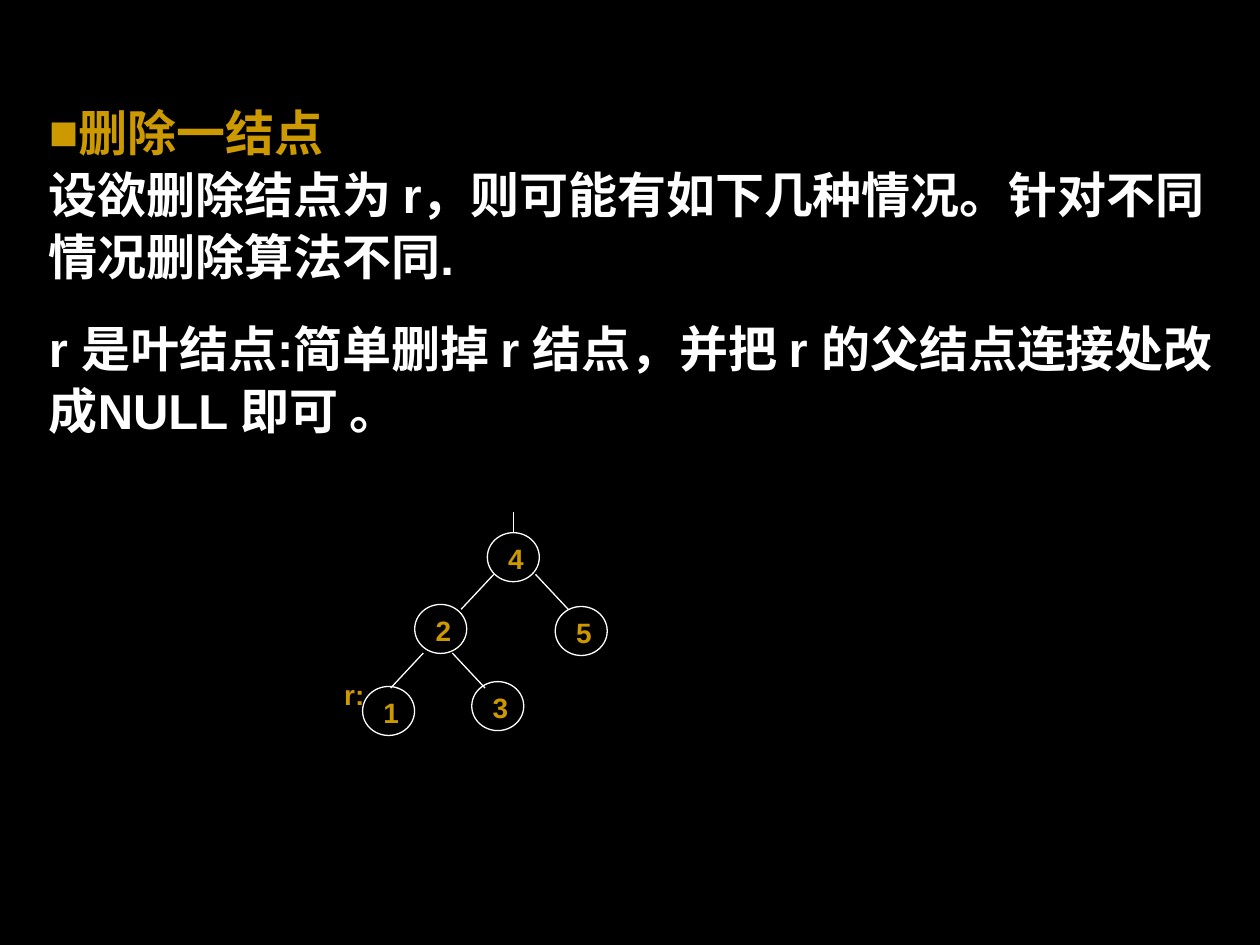
from lxml.etree import SubElement
from pptx import Presentation
from pptx.dml.color import RGBColor
from pptx.enum.shapes import MSO_CONNECTOR, MSO_SHAPE
from pptx.enum.text import MSO_ANCHOR, PP_ALIGN
from pptx.oxml.ns import qn
from pptx.util import Pt

COLORS = {"background": "000000", "accent": "CC9900", "white": "FFFFFF"}


def style_runs(para, size, color):
    for span in para.runs:
        span.font.size = Pt(size)
        span.font.name = "Arial"
        span.font.bold = True
        span.font.color.rgb = RGBColor.from_string(COLORS[color])


def add_label(shapes, text, left, top, width, height, alignment):
    """Add a small tree label with narrow insets."""
    box = shapes.add_textbox(Pt(left), Pt(top), Pt(width), Pt(height))
    frame = box.text_frame
    frame.word_wrap = True
    frame.margin_left = frame.margin_right = Pt(0.75)
    frame.margin_top = frame.margin_bottom = Pt(0.75)
    frame.text = text
    frame.paragraphs[0].alignment = alignment
    style_runs(frame.paragraphs[0], 16, "accent")


deck = Presentation()
deck.slide_width, deck.slide_height = Pt(720), Pt(540)
page = deck.slides.add_slide(deck.slide_layouts[6])
page.background.fill.solid()
page.background.fill.fore_color.rgb = RGBColor.from_string(COLORS["background"])

# Explanation
body = page.shapes.add_textbox(Pt(0), Pt(53.3), Pt(720), Pt(201.6))
frame = body.text_frame
frame.word_wrap = True
frame.vertical_anchor = MSO_ANCHOR.MIDDLE
frame.text = (
    "删除一结点\v设欲删除结点为 r，则可能有如下几种情况。针对不同情况删除算法不同.\n"
    "r 是叶结点:简单删掉 r 结点，并把 r 的父结点连接处改成NULL 即可 。"
)
for para in frame.paragraphs:
    para.line_spacing = 1.05
    para.space_after = Pt(17.5)
    properties = para._p.get_or_add_pPr()
    properties.set("marL", str(Pt(20.9)))
    properties.set("indent", "0")
    style_runs(para, 28, "white")

heading = frame.paragraphs[0]
heading.runs[0].font.color.rgb = RGBColor.from_string(COLORS["accent"])
properties = heading._p.get_or_add_pPr()
bullet_color = SubElement(properties, qn("a:buClr"))
SubElement(bullet_color, qn("a:srgbClr"), val=COLORS["accent"])
SubElement(properties, qn("a:buFont"), typeface="Arial")
SubElement(properties, qn("a:buChar"), char="■")

# Tree nodes: left and top of each circle
NODE_WIDTH, NODE_HEIGHT = 29.7, 28
nodes = {
    "4": (278.5, 304.4),
    "2": (237, 345.4),
    "5": (317.3, 346.6),
    "1": (207.2, 392.3),
    "3": (269.6, 389.5),
}
for name, (left, top) in nodes.items():
    group = page.shapes.add_group_shape()
    add_label(group.shapes, name, left + 1.5, top + 4.5, NODE_WIDTH, 23.3, PP_ALIGN.CENTER)
    circle = group.shapes.add_shape(
        MSO_SHAPE.OVAL, Pt(left), Pt(top), Pt(NODE_WIDTH), Pt(NODE_HEIGHT)
    )
    circle.shadow.inherit = False
    circle.fill.background()
    circle.line.color.rgb = RGBColor.from_string(COLORS["white"])
    circle.line.width = Pt(0.75)

# Tree edges: start point, then horizontal and vertical run
EDGE_X, EDGE_Y = 18.7, 20
edges = [
    (282.2, 328.2, -EDGE_X, EDGE_Y),
    (306, 328.2, EDGE_X, EDGE_Y),
    (241.9, 373.2, -EDGE_X, EDGE_Y),
    (258.5, 373.2, EDGE_X, EDGE_Y),
    (293.4, 292.5, 0, 12),
]
for x, y, run_x, run_y in edges:
    edge = page.shapes.add_connector(
        MSO_CONNECTOR.STRAIGHT, Pt(x), Pt(y), Pt(x + run_x), Pt(y + run_y)
    )
    edge.line.color.rgb = RGBColor.from_string(COLORS["white"])
    edge.line.width = Pt(0.75)
    SubElement(edge._element.spPr, qn("a:effectLst"))

add_label(page.shapes, "r:", 196, 386.6, 17.3, 22.3, PP_ALIGN.JUSTIFY)

deck.save("out.pptx")
